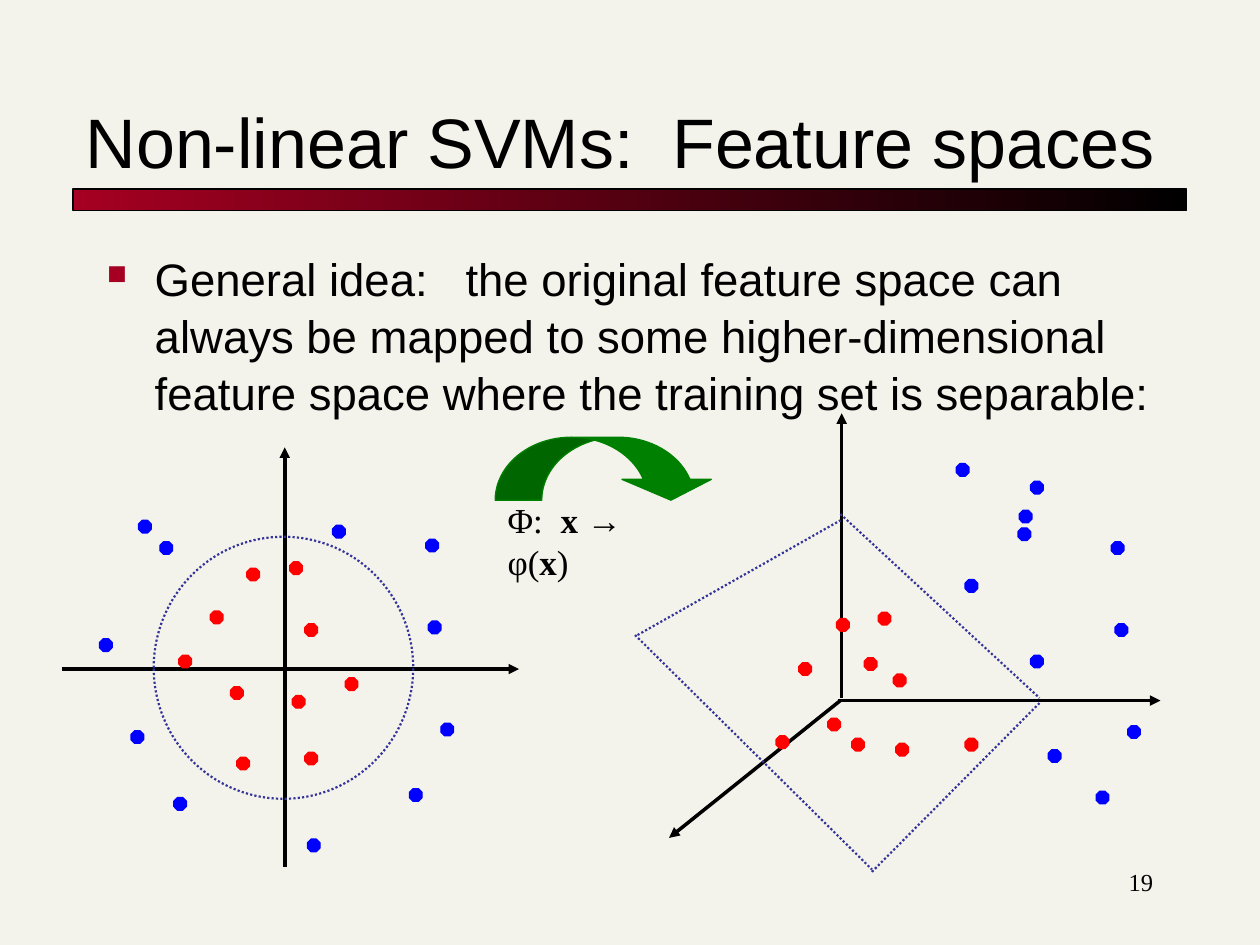
from dataclasses import dataclass
from typing import NamedTuple

from lxml.etree import SubElement
from pptx import Presentation
from pptx.dml.color import RGBColor
from pptx.enum.dml import MSO_LINE_DASH_STYLE as Dash
from pptx.enum.shapes import MSO_CONNECTOR as Connector, MSO_SHAPE as Preset
from pptx.enum.text import MSO_ANCHOR as Anchor, MSO_AUTO_SIZE as AutoSize, PP_ALIGN as Align
from pptx.oxml.ns import qn
from pptx.util import Inches, Pt

COLUMNS, ROWS = 100, 75  # grid laid over the slide
SLIDE_WIDTH, SLIDE_HEIGHT = Inches(10), Inches(7.5)


@dataclass(frozen=True)
class Theme:
    paper: str = "F4F3EB"
    ink: str = "000000"
    accent: str = "A50021"
    inner: str = "FF0000"
    outer: str = "0000FF"
    boundary: str = "333399"
    mapping: str = "008000"
    sans: str = "Arial"
    serif: str = "Times New Roman"
    title_size: float = 40
    body_size: float = 26
    formula_size: float = 20
    number_size: float = 14
    axis_width: float = 2
    boundary_width: float = 1.25
    outline_width: float = 0.75


class Box(NamedTuple):
    col: float
    row: float
    cols: float
    rows: float


class Segment(NamedTuple):
    start: tuple[float, float]
    end: tuple[float, float]


@dataclass(frozen=True)
class FeatureSpace:
    axes: list[Segment]
    inner: list[tuple[float, float]]  # top left corner of each dot
    outer: list[tuple[float, float]]


THEME = Theme()

PLANE = FeatureSpace(
    axes=[Segment((22.6, 68.8), (22.6, 35.5)), Segment((4.9, 53.1), (41.2, 53.1))],
    inner=[(23, 44.6), (16.7, 48.5), (18.3, 54.5), (24.2, 59.7), (19.6, 45.1),
           (14.2, 52), (18.8, 60.1), (24.2, 49.5), (27.4, 53.8), (23.2, 55.2)],
    outer=[(34, 49.3), (32.5, 62.6), (7.9, 50.7), (24.4, 66.6), (35, 57.4), (13.8, 63.3),
           (10.4, 58), (11, 41.3), (26.4, 41.7), (12.7, 43), (33.8, 42.8)],
)
LIFTED = FeatureSpace(
    axes=[Segment((66.8, 55.4), (66.8, 32.8)), Segment((66.5, 55.6), (92.1, 55.6)),
          Segment((66.7, 55.6), (53.1, 66.5))],
    inner=[(69.7, 48.6), (63.4, 52.6), (67.6, 58.6), (76.6, 58.6), (66.4, 49.1),
           (68.6, 52.2), (71.1, 59), (70.9, 53.5), (65.7, 57), (61.6, 58.4)],
    outer=[(88.5, 49.5), (87, 62.8), (81.8, 38.2), (81.8, 52), (89.5, 57.6), (76.6, 46),
           (83.2, 59.5), (80.9, 40.5), (80.8, 41.9), (75.9, 36.8), (88.2, 43)],
)
CIRCLE = Box(12.2, 42.6, 20.6, 20.8)
PLANE_EDGES = [Segment((66.7, 40.8), (82.5, 55.4)), Segment((69.2, 69.2), (82.5, 55.8)),
               Segment((50.6, 50.4), (66.7, 41.3)), Segment((50.4, 50.4), (69.2, 69))]


def x(col: float) -> int:
    return round(SLIDE_WIDTH * col / COLUMNS)


def y(row: float) -> int:
    return round(SLIDE_HEIGHT * row / ROWS)


def place(box: Box) -> tuple[int, int, int, int]:
    return x(box.col), y(box.row), x(box.cols), y(box.rows)


def rgb(color: str) -> RGBColor:
    return RGBColor.from_string(color)


def set_font(font, name: str, size: float) -> None:
    font.name, font.size, font.color.rgb = name, Pt(size), rgb(THEME.ink)


def set_line(line, color: str, width: float, dotted: bool = False) -> None:
    line.color.rgb, line.width = rgb(color), Pt(width)
    if dotted:
        line.dash_style = Dash.ROUND_DOT


def add_preset(slide, preset: Preset, box: Box, fill: str | None, line: str,
               width: float = THEME.outline_width, dotted: bool = False):
    shape = slide.shapes.add_shape(preset, *place(box))
    shape.shadow.inherit = False
    if fill:
        shape.fill.solid()
        shape.fill.fore_color.rgb = rgb(fill)
    else:
        shape.fill.background()
    set_line(shape.line, line, width, dotted)
    return shape


def add_segment(slide, segment: Segment, color: str, width: float,
                dotted: bool = False, arrow: bool = False) -> None:
    (col1, row1), (col2, row2) = segment
    connector = slide.shapes.add_connector(
        Connector.STRAIGHT, x(col1), y(row1), x(col2), y(row2))
    set_line(connector.line, color, width, dotted)
    properties = connector._element.spPr
    if arrow:
        SubElement(properties.find(qn("a:ln")), qn("a:tailEnd"), type="triangle")
    SubElement(properties, qn("a:effectLst"))


def add_feature_space(slide, space: FeatureSpace) -> None:
    for axis in space.axes:
        add_segment(slide, axis, THEME.ink, THEME.axis_width, arrow=True)
    for dots, color in ((space.inner, THEME.inner), (space.outer, THEME.outer)):
        for col, row in dots:
            add_preset(slide, Preset.OCTAGON, Box(col, row, 1, 1), color, color)


def add_text(slide, box: Box):
    frame = slide.shapes.add_textbox(*place(box)).text_frame
    frame.word_wrap = True
    return frame.paragraphs[0]


def add_bullet(paragraph) -> None:
    properties = paragraph._p.get_or_add_pPr()
    properties.set("marL", str(Inches(0.38)))
    properties.set("indent", str(-Inches(0.38)))
    color = SubElement(properties, qn("a:buClr"))
    SubElement(color, qn("a:srgbClr"), val=THEME.accent)
    SubElement(properties, qn("a:buSzPct"), val="60000")
    SubElement(properties, qn("a:buChar"), char="■")


def main() -> None:
    deck = Presentation()
    deck.slide_width, deck.slide_height = SLIDE_WIDTH, SLIDE_HEIGHT
    slide = deck.slides.add_slide(deck.slide_layouts[5])
    slide.background.fill.solid()
    slide.background.fill.fore_color.rgb = rgb(THEME.paper)

    # Title and the bar under it
    title = slide.shapes.title
    title.left, title.top, title.width, title.height = place(Box(5.8, 4.2, 88.3, 10.8))
    heading = title.text_frame
    heading.text = "Non-linear SVMs:  Feature spaces"
    heading.auto_size, heading.vertical_anchor = AutoSize.NONE, Anchor.BOTTOM
    heading.paragraphs[0].alignment = Align.LEFT
    set_font(heading.paragraphs[0].font, THEME.sans, THEME.title_size)
    bar = add_preset(slide, Preset.RECTANGLE, Box(5.8, 15, 88.4, 1.7), THEME.accent, THEME.ink)
    bar.fill.gradient()
    bar.fill.gradient_angle = 0
    for stop, color in zip(bar.fill.gradient_stops, (THEME.accent, THEME.ink)):
        stop.color.rgb = rgb(color)

    # General idea
    idea = add_text(slide, Box(7.5, 19.2, 85, 53.3))
    idea.text = ("General idea:   the original feature space can always be mapped to some "
                 "higher-dimensional feature space where the training set is separable:")
    idea.line_spacing = 1.05
    add_bullet(idea)
    set_font(idea.font, THEME.sans, THEME.body_size)

    # Both feature spaces with their boundaries
    add_feature_space(slide, PLANE)
    add_preset(slide, Preset.OVAL, CIRCLE, None, THEME.boundary, THEME.boundary_width, True)
    add_feature_space(slide, LIFTED)
    for edge in PLANE_EDGES:
        add_segment(slide, edge, THEME.boundary, THEME.boundary_width, dotted=True)

    # Mapping arrow and formula
    mapping = add_preset(slide, Preset.CURVED_DOWN_ARROW, Box(39.3, 34.7, 17.5, 5),
                         THEME.mapping, THEME.mapping)
    for index, share in enumerate((0.74, 1.42, 0.33)):
        mapping.adjustments[index] = share
    formula = add_text(slide, Box(39.3, 39.1, 16.5, 4.8))
    set_font(formula.font, THEME.serif, THEME.formula_size)
    for part, bold in (("Φ:  ", False), ("x → ", True), ("φ(", False), ("x", True), (")", False)):
        run = formula.add_run()
        run.text, run.font.bold = part, bold

    # Slide number
    number = add_text(slide, Box(71.7, 68.3, 20.8, 5))
    number.text, number.alignment = "19", Align.RIGHT
    set_font(number.font, THEME.serif, THEME.number_size)

    deck.save("out.pptx")


if __name__ == "__main__":
    main()
